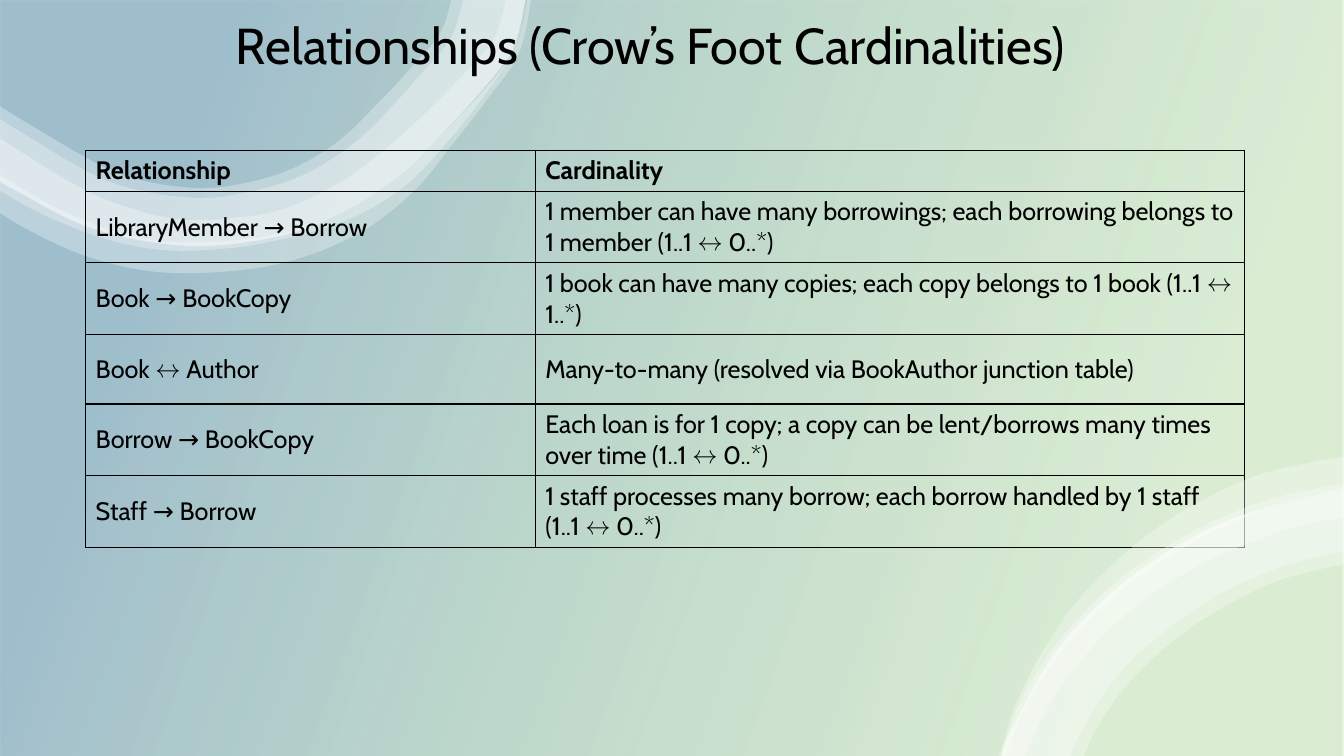
from lxml import etree
from pptx import Presentation
from pptx import util as u
from pptx.dml.color import RGBColor
from pptx.enum import shapes, text
from pptx.oxml import ns

FONT = "Cabin"
BLACK = "000000"
UNITS = 100


def paint(color, value, alpha=100):
    color.rgb = RGBColor.from_string(value)
    if alpha < 100:
        node = color._xFill.find(ns.qn("a:srgbClr"))
        etree.SubElement(node, ns.qn("a:alpha"), val=str(alpha * 1000))


def add_band(page, outer, inner):
    edges = [[(round(x * UNITS), round(y * UNITS)) for x, y in edge]
             for edge in (outer, inner[::-1])]
    outline = edges[0] + edges[1]
    left, top = (min(values) for values in zip(*outline))
    builder = page.shapes.build_freeform(*outline[0], scale=u.Inches(1) / UNITS)
    builder.add_line_segments(outline[1:], close=True)
    band = builder.convert_to_shape()
    band.shadow.inherit = False
    band.line.fill.background()
    band.fill.solid()
    paint(band.fill.fore_color, "FFFFFF", 30)
    lines = list(band._element.iter(ns.qn("a:lnTo")))
    for edge, start in zip(edges, (0, len(outer))):
        ends = [edge[0], *edge, edge[-1]]
        for line, a, b, c, d in zip(lines[start:], ends, ends[1:], ends[2:], ends[3:]):
            curve = etree.Element(ns.qn("a:cubicBezTo"))
            handles = ([q + (r - p) / 6 for p, q, r in zip(a, b, c)],
                       [r - (s - q) / 6 for q, r, s in zip(b, c, d)], c)
            for x, y in handles:
                etree.SubElement(curve, ns.qn("a:pt"), x=str(round(x - left)), y=str(round(y - top)))
            line.getparent().replace(line, curve)


deck = Presentation()
deck.slide_width, deck.slide_height = u.Inches(13.33), u.Inches(7.5)
column, row = deck.slide_width / 100, deck.slide_height / 100
page = deck.slides.add_slide(deck.slide_layouts[6])

backdrop = page.shapes.add_shape(
    shapes.MSO_SHAPE.RECTANGLE, 0, 0, deck.slide_width, deck.slide_height)
backdrop.shadow.inherit = False
backdrop.line.fill.background()
backdrop.fill.gradient()
backdrop.fill.gradient_angle = 160
for stop, (position, value, alpha) in zip(
        backdrop.fill.gradient_stops, [(0.16, "4EA72E", 20), (0.85, "156082", 40)]):
    stop.position = position
    paint(stop.color, value, alpha)

left_rim = [(5.21, -0.01), (5.12, 0.4), (4.95, 0.69), (4.45, 1.26), (3.95, 1.75), (3.37, 2.12),
            (2.69, 2.36), (1.87, 2.44), (0.93, 2.27), (0.14, 1.88), (-0.02, 1.78)]
left_bands = [
    ([(5.23, -0.01), (5.1, 0.5), (4.75, 0.95), (4.35, 1.37), (3.92, 1.77), (3.43, 2.09),
      (2.86, 2.3), (2.25, 2.39), (1.62, 2.39), (1.03, 2.26), (0.48, 2.02), (-0.02, 1.72)],
     [(5.27, -0.01), (5.15, 0.52), (4.83, 0.99), (4.48, 1.44), (4.1, 1.9), (3.6, 2.29),
      (2.98, 2.56), (2.29, 2.69), (1.58, 2.7), (0.88, 2.55), (0.26, 2.27), (-0.02, 2.1)]),
    ([(5.02, -0.01), (4.89, 0.4), (4.55, 0.79), (4.16, 1.18), (3.76, 1.53), (3.32, 1.84),
      (2.82, 2.07), (2.25, 2.17), (1.67, 2.16), (1.13, 2.01), (0.63, 1.77), (-0.02, 1.36)],
     [(5.22, -0.01), (5.11, 0.47), (4.81, 0.94), (4.48, 1.36), (4.08, 1.79), (3.56, 2.13),
      (2.94, 2.34), (2.29, 2.46), (1.61, 2.48), (0.95, 2.34), (0.35, 2.09), (-0.02, 1.88)]),
    ([(4.6, -0.01), (4.47, 0.38), (4.17, 0.74), (3.95, 0.99), (3.5, 1.43), (3.02, 1.73),
      (2.48, 1.9), (1.87, 1.96), (1.08, 1.8), (0.29, 1.36), (-0.02, 1.17)], left_rim),
    ([(4.48, -0.01), (4.36, 0.34), (4.07, 0.68), (3.84, 0.93), (3.43, 1.34), (2.99, 1.63),
      (2.46, 1.81), (1.87, 1.86), (1.15, 1.71), (0.37, 1.28), (-0.02, 1.04)], left_rim),
]
for outer, inner in left_bands:
    add_band(page, outer, inner)

title = page.shapes.add_textbox(
    *(int(n) for n in (2.2 * column, 1.9 * row, 92.4 * column, 8.9 * row)))
title.text_frame.word_wrap = True
title.text_frame.vertical_anchor = text.MSO_ANCHOR.MIDDLE
para = title.text_frame.paragraphs[0]
para.text = "Relationships (Crow’s Foot Cardinalities)"
para.alignment = text.PP_ALIGN.CENTER
para.line_spacing = 0.9
span = para.runs[0]
span.font.name, span.font.size = FONT, u.Pt(36)
paint(span.font.color, BLACK)

relationships = [
    (5.4, "Relationship", "Cardinality"),
    (9.48, "LibraryMember → Borrow",
     "1 member can have many borrowings; each borrowing belongs to 1 member (1..1 ↔ 0..*)"),
    (9.48, "Book → BookCopy",
     "1 book can have many copies; each copy belongs to 1 book (1..1 ↔ 1..*)"),
    (9.2, "Book ↔ Author", "Many-to-many (resolved via BookAuthor junction table)"),
    (9.48, "Borrow → BookCopy",
     "Each loan is for 1 copy; a copy can be lent/borrows many times over time (1..1 ↔ 0..*)"),
    (9.48, "Staff → Borrow",
     "1 staff processes many borrow; each borrow handled by 1 staff (1..1 ↔ 0..*)"),
]
frame = page.shapes.add_table(
    len(relationships), 2,
    *(int(n) for n in (6.37 * column, 19.9 * row, 86.25 * column, 52.5 * row)))
table = frame.table
table.horz_banding = False
for table_column, share in zip(table.columns, (33.45, 52.8)):
    table_column.width = int(share * column)
for i, (height, *entry) in enumerate(relationships):
    table.rows[i].height = int(height * row)
    for j, wording in enumerate(entry):
        cell = table.cell(i, j)
        cell.text_frame.text = wording
        cell.vertical_anchor = text.MSO_ANCHOR.MIDDLE
        span = cell.text_frame.paragraphs[0].runs[0]
        span.font.name, span.font.size, span.font.bold = FONT, u.Pt(18), i == 0
        paint(span.font.color, BLACK)
        properties = cell._tc.get_or_add_tcPr()
        for side in ("lnL", "lnR", "lnT", "lnB"):
            border = etree.SubElement(properties, ns.qn("a:" + side), w=str(u.Pt(1)))
            fill = etree.SubElement(border, ns.qn("a:solidFill"))
            etree.SubElement(fill, ns.qn("a:srgbClr"), val=BLACK)
        cell.fill.background()

right_rim = [(9.94, 7.5), (10.02, 7.26), (10.52, 6.4), (11.26, 5.69), (12.19, 5.16), (13.34, 4.84)]
right_bands = [
    ([(9.91, 7.5), (10.07, 7), (10.39, 6.38), (10.81, 5.82), (11.34, 5.34), (11.95, 4.95),
      (12.46, 4.72), (12.99, 4.59), (13.34, 4.53)],
     [(9.97, 7.5), (10.16, 7.03), (10.53, 6.47), (10.99, 5.98), (11.52, 5.57), (12.11, 5.24),
      (12.74, 4.99), (13.34, 4.85)]),
    (right_rim,
     [(10.75, 7.5), (10.87, 7.24), (11.19, 6.78), (11.62, 6.37), (12.14, 6.02), (12.71, 5.75),
      (13.34, 5.59)]),
    ([(9.93, 7.5), (10.12, 6.96), (10.47, 6.4), (10.93, 5.9), (11.46, 5.49), (12.06, 5.16),
      (12.71, 4.92), (13.34, 4.8)],
     [(10.17, 7.5), (10.36, 7.08), (10.71, 6.57), (11.14, 6.12), (11.65, 5.75), (12.21, 5.46),
      (12.81, 5.24), (13.34, 5.13)]),
    (right_rim,
     [(10.62, 7.5), (10.76, 7.19), (11.1, 6.68), (11.54, 6.27), (12.07, 5.91), (12.66, 5.64),
      (13.34, 5.46)]),
]
for outer, inner in right_bands:
    add_band(page, outer, inner)

deck.save("out.pptx")
